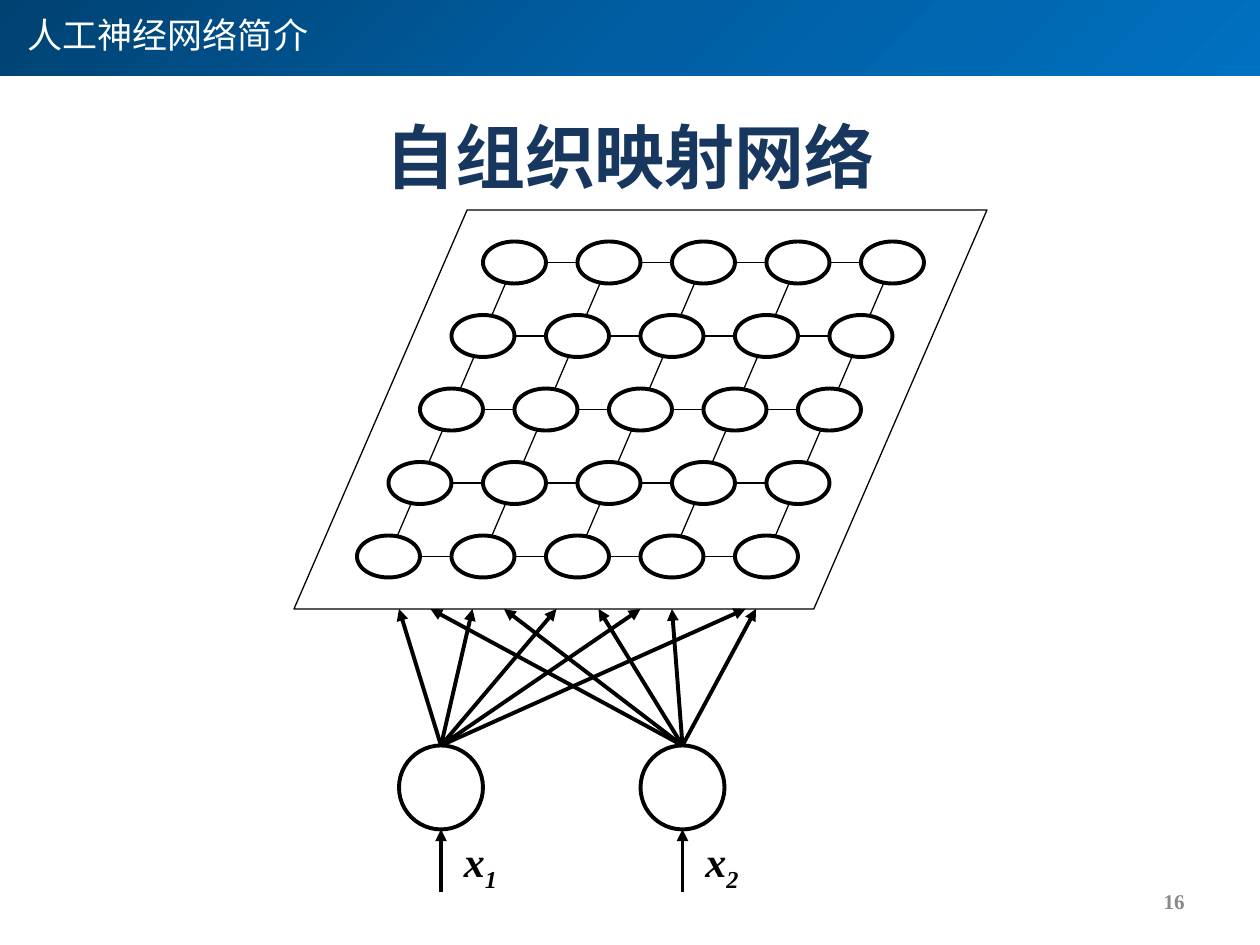
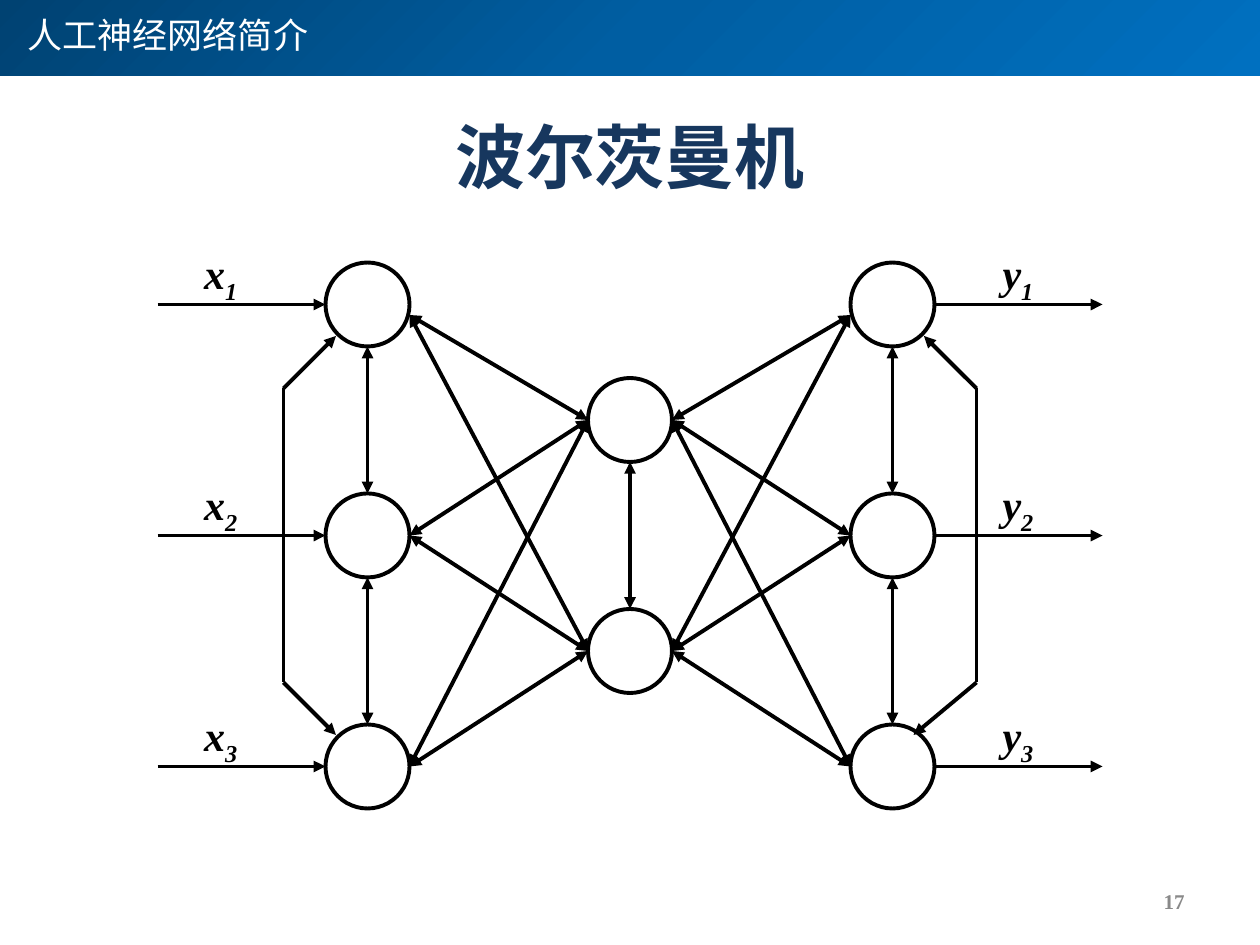
from dataclasses import dataclass
from itertools import product

from lxml.etree import SubElement
from pptx import Presentation
from pptx.dml.color import RGBColor
from pptx.enum.shapes import MSO_CONNECTOR, MSO_SHAPE
from pptx.enum.text import MSO_ANCHOR, PP_ALIGN
from pptx.oxml import parse_xml
from pptx.oxml.ns import nsdecls, qn
from pptx.util import Inches, Pt


@dataclass(frozen=True)
class Theme:
    cjk: str = "Noto Sans CJK SC"
    serif: str = "Times New Roman"
    band: tuple = ((0, "004272"), (50, "005EA2"), (100, "0070C0"))
    title: str = "17375E"
    header: str = "FFFFFF"
    number: str = "898989"
    ink: str = "000000"
    paper: str = "FFFFFF"
    title_size: int = 40
    header_size: int = 20
    label_size: int = 24
    number_size: int = 12
    thick: float = 2.25
    thin: float = 0.75


THEME = Theme()
COLS, ROWS = 120, 90  # grid of 1/12 inch cells
RADIUS = 4            # radius of a round neuron, in cells


def cells(*values):
    return [Inches(v / 12) for v in values]


def mirror(x):
    return COLS - x


# Elements
def add_text(slide, box, text, font, size, color, bold=False, italic=False,
             align=PP_ALIGN.LEFT, anchor=MSO_ANCHOR.TOP, subscript=""):
    tf = slide.shapes.add_textbox(*cells(*box)).text_frame
    tf.word_wrap = True
    tf.vertical_anchor = anchor
    p = tf.paragraphs[0]
    p.alignment = align
    p.font.name, p.font.size = font, Pt(size)
    p.font.bold, p.font.italic = bold, italic
    p.font.color.rgb = RGBColor.from_string(color)
    SubElement(p.font._rPr, qn("a:ea"), typeface=font)
    p.add_run().text = text
    if subscript:
        r = p.add_run()
        r.text = subscript
        r._r.get_or_add_rPr().set("baseline", "-25000")


def add_label(slide, left, top, letter, index):
    add_text(slide, (left, top, 6.75, 6), letter, THEME.serif, THEME.label_size,
             THEME.ink, bold=True, italic=True, subscript=str(index))


def add_outline(slide, kind, box, width, fill=None):
    sp = slide.shapes.add_shape(kind, *cells(*box))
    sp.shadow.inherit = False
    if fill:
        sp.fill.solid()
        sp.fill.fore_color.rgb = RGBColor.from_string(fill)
    else:
        sp.fill.background()
    sp.line.color.rgb = RGBColor.from_string(THEME.ink)
    sp.line.width = Pt(width)
    return sp


def add_neuron(slide, x, y, rx=RADIUS, ry=RADIUS, fill=None):
    add_outline(slide, MSO_SHAPE.OVAL, (x - rx, y - ry, 2 * rx, 2 * ry),
                THEME.thick, fill)


def add_line(slide, start, end, width=THEME.thick, arrows=()):
    line = slide.shapes.add_connector(MSO_CONNECTOR.STRAIGHT,
                                      *cells(*start, *end))
    line.line.color.rgb = RGBColor.from_string(THEME.ink)
    line.line.width = Pt(width)
    for arrow in arrows:
        SubElement(line.line._get_or_add_ln(), qn(f"a:{arrow}"), type="triangle")
    SubElement(line._element.spPr, qn("a:effectLst"))


def add_arrow(slide, start, end):
    add_line(slide, start, end, arrows=("tailEnd",))


def add_link(slide, start, end):
    add_line(slide, start, end, arrows=("headEnd", "tailEnd"))


# Shared frame: band, header, title and page number
def add_band(slide):
    sp = slide.shapes.add_shape(MSO_SHAPE.RECTANGLE, *cells(0, 0, COLS, 7.2))
    sp.shadow.inherit = False
    sp.line.fill.background()
    stops = "".join(f'<a:gs pos="{pos * 1000}"><a:srgbClr val="{color}"/></a:gs>'
                    for pos, color in THEME.band)
    sp.fill.gradient()
    spPr = sp._element.spPr
    spPr.replace(spPr.find(qn("a:gradFill")), parse_xml(
        f'<a:gradFill {nsdecls("a")} rotWithShape="1"><a:gsLst>{stops}</a:gsLst>'
        '<a:path path="circle"><a:fillToRect r="100000" b="100000"/></a:path>'
        '</a:gradFill>'))


def add_frame(prs, title, number):
    slide = prs.slides.add_slide(prs.slide_layouts[6])
    add_band(slide)
    add_text(slide, (6, 7.3, 108, 15), title, THEME.cjk, THEME.title_size,
             THEME.title, bold=True, align=PP_ALIGN.CENTER,
             anchor=MSO_ANCHOR.MIDDLE)
    add_text(slide, (1.45, 0.7, 32, 5.6), "人工神经网络简介", THEME.cjk,
             THEME.header_size, THEME.header)
    add_text(slide, (86, 83.4, 28, 4.8), str(number), THEME.serif,
             THEME.number_size, THEME.number, bold=True,
             align=PP_ALIGN.RIGHT, anchor=MSO_ANCHOR.MIDDLE)
    return slide


# Slide contents
def build_self_organizing_map(prs):
    slide = add_frame(prs, "自组织映射网络", 16)
    size, plane_bottom, input_y = 5, 58, 75

    # Slanted plane with its lattice
    plane = add_outline(slide, MSO_SHAPE.PARALLELOGRAM, (28, 20, 66, 38),
                        THEME.thin)
    plane.adjustments[0] = 0.434

    def node(col, row):
        return 49 + 9 * col - 3 * row, 25 + 7 * row

    last = size - 1
    for i in range(size):
        add_line(slide, node(0, i), node(last, i), THEME.thin)
        add_line(slide, node(i, last), node(i, 0), THEME.thin)
    for col, row in product(range(size), repeat=2):
        add_neuron(slide, *node(col, row), rx=3, ry=2, fill=THEME.paper)

    # Inputs fanning out to the plane
    fans = {42: (38, 45, 53, 61, 71), 65: (41, 48, 57, 64, 72)}
    for index, (x, targets) in enumerate(fans.items(), 1):
        add_neuron(slide, x, input_y)
        for target in targets:
            add_arrow(slide, (x, input_y - RADIUS), (target, plane_bottom))
        add_arrow(slide, (x, 85), (x, input_y + RADIUS))
        add_label(slide, x + 1, input_y + RADIUS, "x", index)


def build_boltzmann_machine(prs):
    slide = add_frame(prs, "波尔茨曼机", 17)
    outer_x, middle_x = 35, COLS / 2
    outer_ys, middle_ys = (29, 51, 73), (40, 62)
    link_ys = (30, 51, 73)

    def add_column(x, ys):
        for y in ys:
            add_neuron(slide, x, y)
        for upper, lower in zip(ys, ys[1:]):
            add_link(slide, (x, upper + RADIUS), (x, lower - RADIUS))

    add_column(middle_x, middle_ys)

    # Both sides follow one plan, mirrored about the middle
    for side in (lambda x: x, mirror):
        add_column(side(outer_x), outer_ys)
        for y, middle_y in product(link_ys, middle_ys):
            add_link(slide, (side(outer_x + RADIUS), y),
                     (side(middle_x - RADIUS), middle_y))
        bend_x = side(27)
        lower_tip = 87 if side is mirror else 32
        add_line(slide, (bend_x, 37), (bend_x, 65))
        add_arrow(slide, (bend_x, 37), (side(32), 32))
        add_arrow(slide, (bend_x, 65), (lower_tip, 70))

    # Inputs and outputs
    for index, y in enumerate(outer_ys, 1):
        outside, edge = (15, y), (outer_x - RADIUS, y)
        add_arrow(slide, outside, edge)
        add_arrow(slide, (mirror(edge[0]), y), (mirror(outside[0]), y))
        add_label(slide, 18.25, y - 6, "x", index)
        add_label(slide, 94.3, y - 6, "y", index)


def main():
    prs = Presentation()
    prs.slide_width, prs.slide_height = cells(COLS, ROWS)
    build_self_organizing_map(prs)
    build_boltzmann_machine(prs)
    prs.save("out.pptx")


if __name__ == "__main__":
    main()
